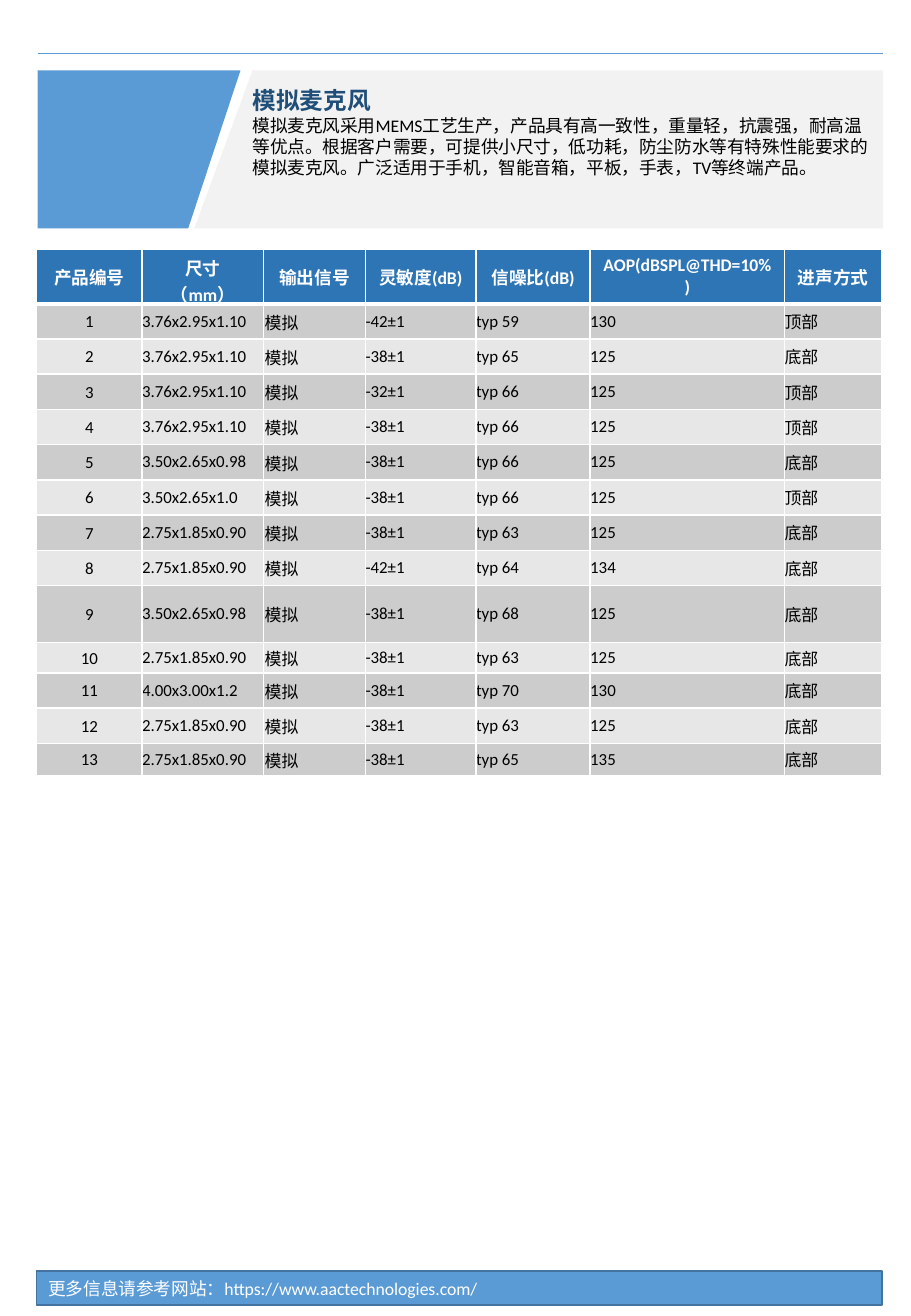
from lxml import etree
from pptx import Presentation
from pptx import util as u
from pptx.dml.color import RGBColor
from pptx.enum import shapes, text
from pptx.oxml import ns

COLORS = {
    "blue": "5B9BD5", "edge": "43739E", "panel": "F2F2F2", "title": "1F4E79",
    "header": "2E75B6", "odd": "CCCCCC", "even": "E7E7E7",
    "white": "FFFFFF", "black": "000000",
}


def write(p, content, color, **fmt):
    r = p.add_run()
    r.text = content
    r.font.color.rgb = RGBColor.from_string(COLORS[color])
    for name, value in {"name": "Calibri", "bold": False, **fmt}.items():
        setattr(r.font, name, value)


def paint(sp, color):
    sp.shadow.inherit = False
    sp.fill.solid()
    sp.fill.fore_color.rgb = RGBColor.from_string(COLORS[color])
    sp.line.fill.background()


prs = Presentation()
prs.slide_width, prs.slide_height = u.Inches(7.5), u.Inches(10.83)
s = prs.slides.add_slide(prs.slide_layouts[6])

footer = s.shapes.add_shape(shapes.MSO_SHAPE.RECTANGLE, u.Inches(0.3), u.Inches(10.46),
                            u.Inches(6.96), u.Inches(0.28))
paint(footer, "blue")
footer.line.color.rgb = RGBColor.from_string(COLORS["edge"])
footer.line.width = u.Pt(1)
tf = footer.text_frame
tf.word_wrap = True
tf.vertical_anchor = text.MSO_ANCHOR.MIDDLE
p = tf.paragraphs[0]
p.alignment = text.PP_ALIGN.LEFT
write(p, "更多信息请参考网站：https://www.aactechnologies.com/", "white", size=u.Pt(10.5))

rule = s.shapes.add_connector(shapes.MSO_CONNECTOR.STRAIGHT, u.Inches(0.31), u.Inches(0.44),
                              u.Inches(7.27), u.Inches(0.44))
rule.line.color.rgb = RGBColor.from_string(COLORS["blue"])
rule.line.width = u.Pt(0.5)
etree.SubElement(rule._element.spPr, ns.qn("a:effectLst"))

banner = [
    ("panel", [(2.08, 0.58), (7.27, 0.58), (7.27, 1.88), (1.6, 1.88)]),
    ("blue", [(0.31, 0.58), (1.98, 0.58), (1.55, 1.88), (0.31, 1.88)]),
]
for color, points in banner:
    corners = [(u.Inches(x), u.Inches(y)) for x, y in points]
    outline = s.shapes.build_freeform(*corners[0])
    outline.add_line_segments(corners[1:], close=True)
    paint(outline.convert_to_shape(), color)

intro = s.shapes.add_textbox(u.Inches(1.98), u.Inches(0.66), u.Inches(5.29), u.Inches(0.87))
tf = intro.text_frame
tf.word_wrap = True
tf.auto_size = text.MSO_AUTO_SIZE.SHAPE_TO_FIT_TEXT
write(tf.paragraphs[0], "模拟麦克风", "title", size=u.Pt(14), bold=True)
write(tf.add_paragraph(),
      "模拟麦克风采用MEMS工艺生产，产品具有高一致性，重量轻，抗震强，耐高温等优点。"
      "根据客户需要，可提供小尺寸，低功耗，防尘防水等有特殊性能要求的模拟麦克风。"
      "广泛适用于手机，智能音箱，平板，手表，TV等终端产品。", "black", size=u.Pt(10.5))

headings = ["产品编号", "尺寸（mm）", "输出信号", "灵敏度(dB)", "信噪比(dB)",
            "AOP(dBSPL@THD=10%)", "进声方式"]
products = [
    ("3.76x2.95x1.10", -42, 59, 130, "顶部"),
    ("3.76x2.95x1.10", -38, 65, 125, "底部"),
    ("3.76x2.95x1.10", -32, 66, 125, "顶部"),
    ("3.76x2.95x1.10", -38, 66, 125, "顶部"),
    ("3.50x2.65x0.98", -38, 66, 125, "底部"),
    ("3.50x2.65x1.0", -38, 66, 125, "顶部"),
    ("2.75x1.85x0.90", -38, 63, 125, "底部"),
    ("2.75x1.85x0.90", -42, 64, 134, "底部"),
    ("3.50x2.65x0.98", -38, 68, 125, "底部"),
    ("2.75x1.85x0.90", -38, 63, 125, "底部"),
    ("4.00x3.00x1.2", -38, 70, 130, "底部"),
    ("2.75x1.85x0.90", -38, 63, 125, "底部"),
    ("2.75x1.85x0.90", -38, 65, 135, "底部"),
]
rows = [headings] + [
    [str(n), size, "模拟", f"{sensitivity}±1", f"typ {snr}", str(aop), port]
    for n, (size, sensitivity, snr, aop, port) in enumerate(products, 1)
]
widths = [0.87, 1, 0.84, 0.91, 0.94, 1.6, 0.8]
heights = [0.4] + [0.29] * 8 + [0.47, 0.25, 0.29, 0.29, 0.19]
last = len(rows) - 1

table = s.shapes.add_table(len(rows), len(widths), u.Inches(0.3), u.Inches(2.05),
                           u.Inches(sum(widths)), u.Inches(sum(heights))).table
for column, width in zip(table.columns, widths):
    column.width = u.Inches(width)
for row, height in zip(table.rows, heights):
    row.height = u.Inches(height)

for i, values in enumerate(rows):
    for j, value in enumerate(values):
        cell = table.cell(i, j)
        cell.vertical_anchor = text.MSO_ANCHOR.MIDDLE
        tight = j == 2 or (j == 0 and 0 < i < last)
        if tight or (i and j):
            inset = u.Inches(0.01 if tight else 0)
            cell.margin_left = cell.margin_top = cell.margin_right = inset
            cell.margin_bottom = 0
        tcPr = cell._tc.get_or_add_tcPr()
        for side in "LRTB":
            thick = (i == 0 and side == "B") or (i == 1 and side == "T")
            ln = etree.SubElement(tcPr, ns.qn(f"a:ln{side}"), w=str(u.Pt(3 if thick else 1)))
            fill = etree.SubElement(ln, ns.qn("a:solidFill"))
            etree.SubElement(fill, ns.qn("a:srgbClr"), val=COLORS["white"])
        cell.fill.solid()
        shade = "header" if i == 0 else "odd" if i % 2 else "even"
        cell.fill.fore_color.rgb = RGBColor.from_string(COLORS[shade])
        p = cell.text_frame.paragraphs[0]
        p.alignment = text.PP_ALIGN.CENTER if i == 0 or j == 0 else text.PP_ALIGN.LEFT
        write(p, value, "black" if i else "white", size=u.Pt(10 if i else 10.5), bold=i == 0)

prs.save("out.pptx")
